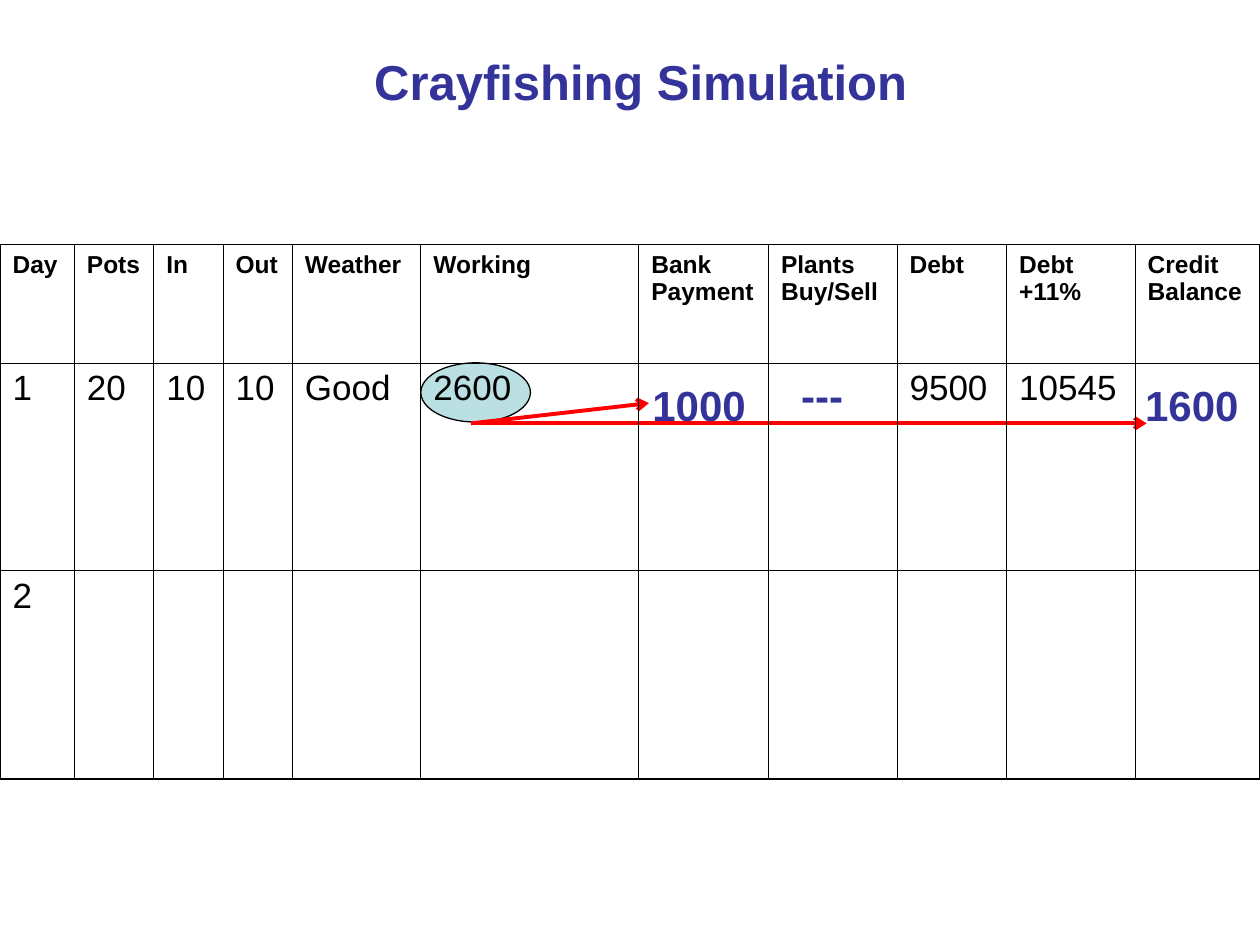
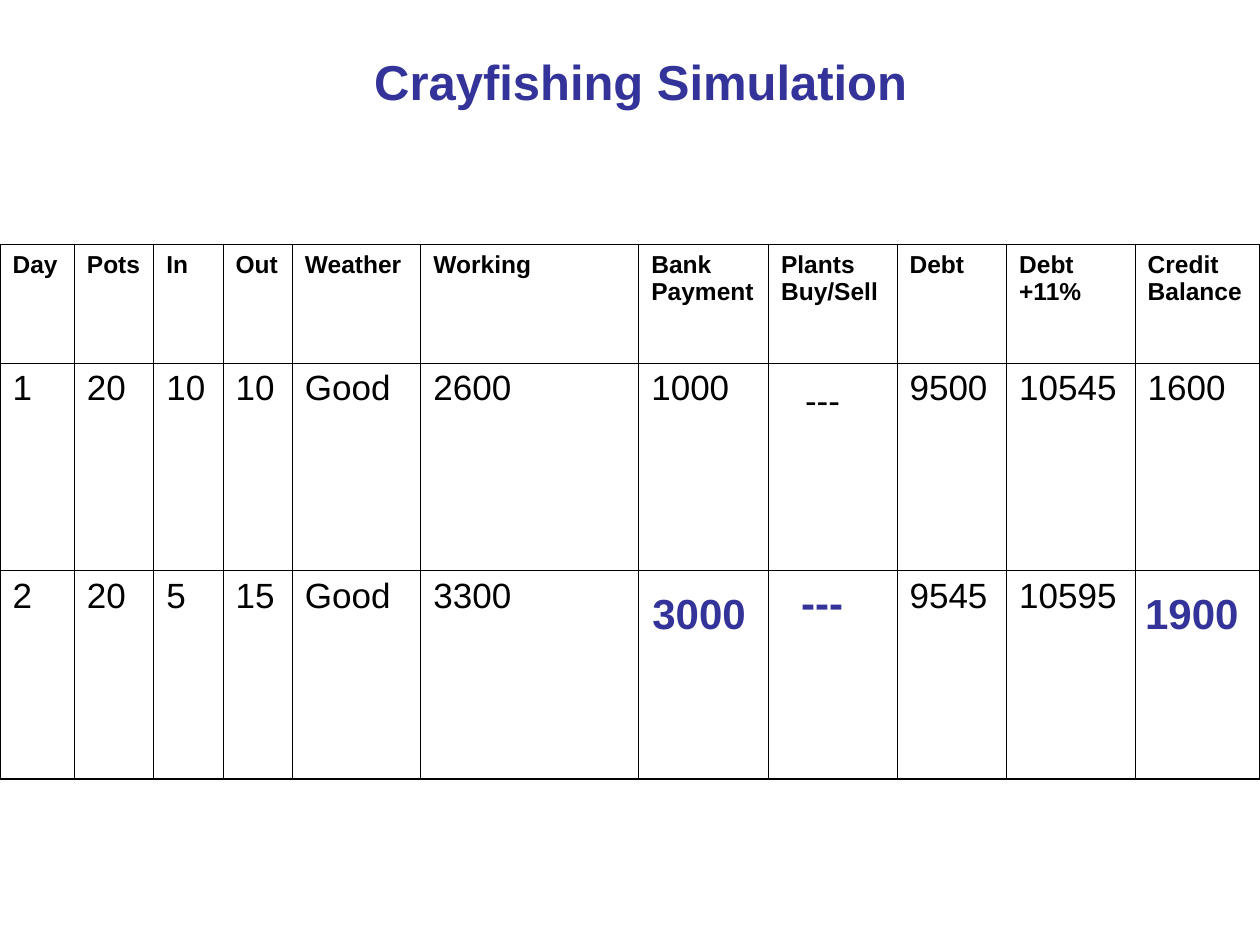
from itertools import accumulate

from lxml import etree
from pptx import Presentation
from pptx import util as u
from pptx.dml.color import RGBColor
from pptx.enum import shapes, text
from pptx.oxml.ns import qn

FONT = "Arial"
COLOURS = {"accent": "333399", "ink": "000000", "oval": "BBE0E3", "arrow": "FF0000"}
TITLE = "Crayfishing Simulation"
HEADINGS = ["Day", "Pots", "In", "Out", "Weather", "Working", "Bank Payment",
            "Plants Buy/Sell", "Debt", "Debt +11%", "Credit Balance"]
COLUMN_WIDTHS = [0.59, 0.63, 0.55, 0.55, 1.02, 1.73, 1.03, 1.02, 0.87, 1.02, 0.99]
ROW_HEIGHTS = [0.94, 1.65, 1.65]
LEDGER_BOX = (0, 1.94, 10, 4.24)
COLUMN_LEFTS = [0, *accumulate(COLUMN_WIDTHS)]
ROW_TOPS = [0, *accumulate(ROW_HEIGHTS)]
WORKING, BANK, PLANTS, CREDIT = 5, 6, 7, 10
THIN, THICK = 0.45, 1.08
NO_TRADE = "---"


def inches(*lengths):
    return [u.Inches(length) for length in lengths]


def colour(name):
    return RGBColor.from_string(COLOURS[name])


def style(para, size, name, bold=False):
    para.alignment = text.PP_ALIGN.LEFT
    para.font.name = FONT
    para.font.size = u.Pt(size)
    para.font.bold = bold
    para.font.color.rgb = colour(name)


def fill_frame(frame, words, size):
    frame.word_wrap = True
    frame.auto_size = text.MSO_AUTO_SIZE.NONE
    frame.vertical_anchor = text.MSO_ANCHOR.TOP
    frame.text = words
    style(frame.paragraphs[0], size, "accent", True)


def add_title(page, box):
    title = page.shapes.title
    title.left, title.top, title.width, title.height = inches(*box)
    fill_frame(title.text_frame, TITLE, 28)


def add_borders(cell, widths):
    properties = cell._tc.get_or_add_tcPr()
    for index, (side, width) in enumerate(widths.items()):
        line = etree.Element(qn(f"a:ln{side}"), w=str(u.Pt(width)))
        fill = etree.SubElement(line, qn("a:solidFill"))
        etree.SubElement(fill, qn("a:srgbClr"), val=COLOURS["ink"])
        properties.insert(index, line)


def add_ledger(page, box, days):
    rows = [HEADINGS, *days]
    table = page.shapes.add_table(len(rows), len(HEADINGS), *inches(*box)).table
    table.first_row = table.horz_banding = False
    for column, width in zip(table.columns, COLUMN_WIDTHS):
        column.width = u.Inches(width)
    for row, height in zip(table.rows, ROW_HEIGHTS):
        row.height = u.Inches(height)
    last_row, last_column = len(rows) - 1, len(HEADINGS) - 1
    for r, values in enumerate(rows):
        for c, value in enumerate(values):
            cell = table.cell(r, c)
            cell.fill.background()
            add_borders(cell, {"L": THICK if c == 0 else THIN,
                               "R": THICK if c == last_column else THIN,
                               "T": THICK if r == 0 else THIN,
                               "B": THICK if r == last_row else THIN})
            cell.text = value
            style(cell.text_frame.paragraphs[0], 20 if r else 14, "ink", r == 0)
            if value == NO_TRADE:
                cell.margin_left, cell.margin_top = inches(0.29, 0.15)


def add_answers(page, box, day, bank, credit):
    left, top = box[:2]
    answers = [(bank, BANK, 0.01, 0.08, 0.96),
               (NO_TRADE, PLANTS, 0.16, 0, 0.71),
               (credit, CREDIT, -0.02, 0.08, 1.02)]
    for words, column, shift, drop, width in answers:
        answer = page.shapes.add_textbox(*inches(
            left + COLUMN_LEFTS[column] + shift, top + ROW_TOPS[day] + drop, width, 0.5))
        fill_frame(answer.text_frame, words, 24)


def add_arrow(page, start, end):
    arrow = page.shapes.add_connector(shapes.MSO_CONNECTOR.STRAIGHT, *inches(*start, *end))
    arrow.line.color.rgb = colour("arrow")
    arrow.line.width = u.Pt(2.25)
    etree.SubElement(arrow.line._get_or_add_ln(), qn("a:tailEnd"), type="arrow")
    etree.SubElement(arrow._element.spPr, qn("a:effectLst"))


def add_working_split(page, box):
    left, top = box[0] + COLUMN_LEFTS[WORKING], box[1] + ROW_TOPS[1]
    oval = page.shapes.add_shape(shapes.MSO_SHAPE.OVAL, *inches(left, top, 0.87, 0.47))
    oval.shadow.inherit = False
    oval.fill.solid()
    oval.fill.fore_color.rgb = colour("oval")
    oval.line.color.rgb = colour("ink")
    oval.line.width = u.Pt(0.75)
    start = (left + 0.4, top + 0.48)
    add_arrow(page, start, (box[0] + COLUMN_LEFTS[BANK] + 0.08, top + 0.32))
    add_arrow(page, start, (box[0] + COLUMN_LEFTS[CREDIT] + 0.09, start[1]))


def add_simulation_page(deck, days, answer, show_split=False):
    page = deck.slides.add_slide(deck.slide_layouts[5])
    add_title(page, (2.87, 0.36, 4.49, 0.57))
    if show_split:
        add_working_split(page, LEDGER_BOX)
    add_ledger(page, LEDGER_BOX, days)
    add_answers(page, LEDGER_BOX, *answer)


def main():
    deck = Presentation()
    deck.slide_width, deck.slide_height = inches(10, 7.5)
    start = ["1", "20", "10", "10", "Good", "2600"]
    debt = ["9500", "10545"]
    add_simulation_page(
        deck,
        [[*start, "", "", *debt, ""], ["2"] + [""] * 10],
        (1, "1000", "1600"),
        show_split=True)
    add_simulation_page(
        deck,
        [[*start, "1000", NO_TRADE, *debt, "1600"],
         ["2", "20", "5", "15", "Good", "3300", "", "", "9545", "10595", ""]],
        (2, "3000", "1900"))
    deck.save("out.pptx")


if __name__ == "__main__":
    main()
